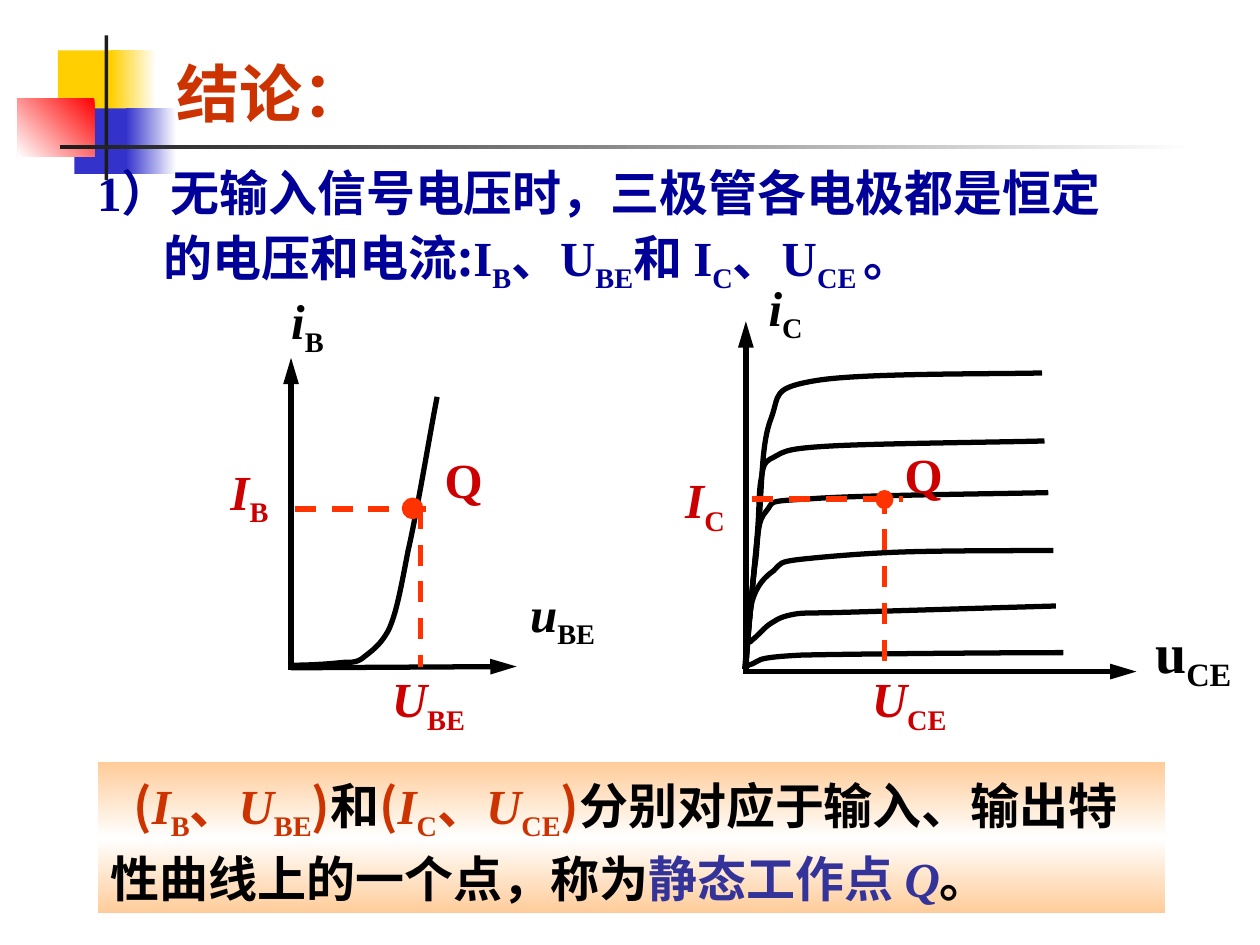
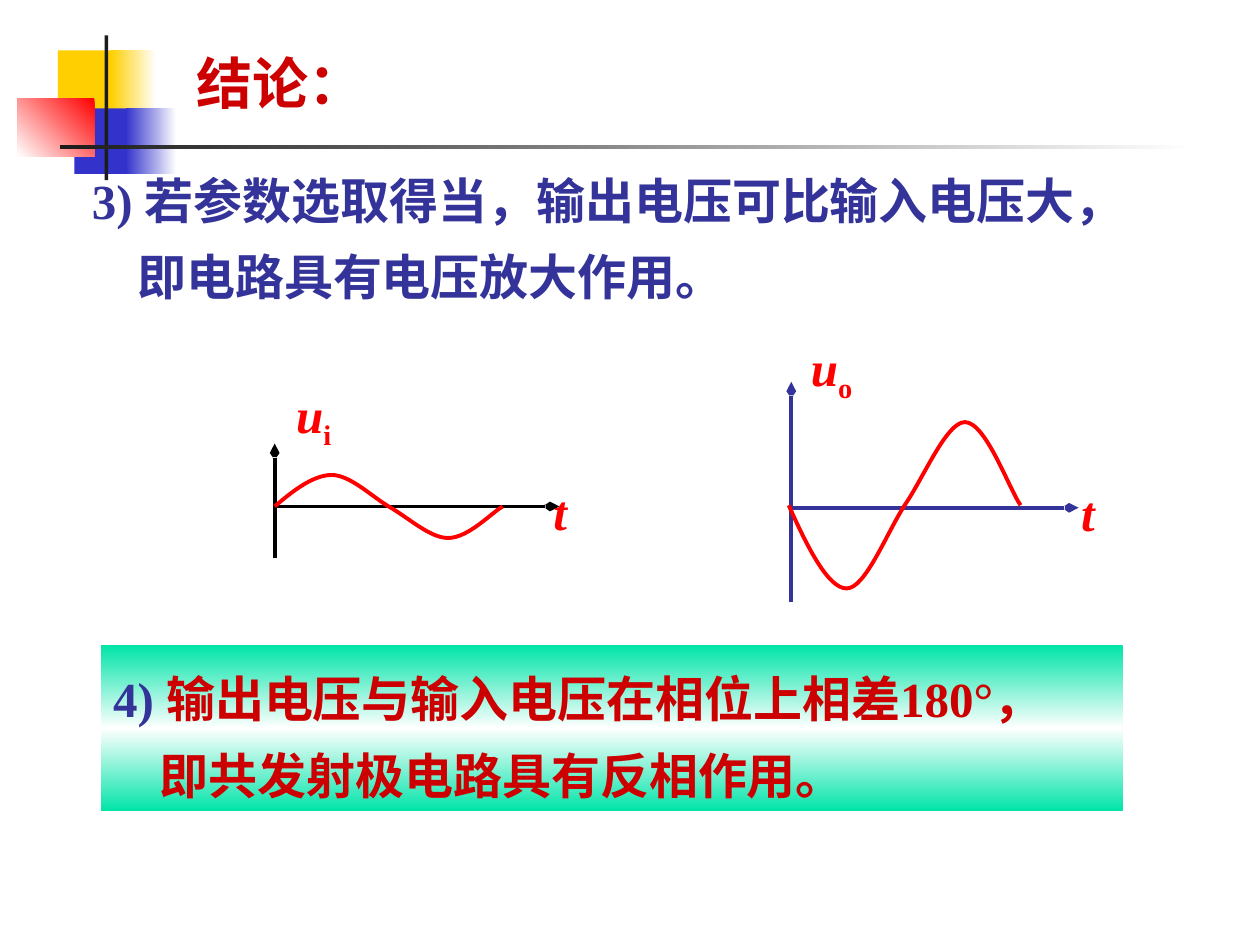
from dataclasses import dataclass, replace

import pptx
import pptx.dml.color
import pptx.enum.dml
import pptx.enum.shapes
import pptx.enum.text
import pptx.oxml.ns
import pptx.presentation
import pptx.shapes.autoshape
import pptx.slide
import pptx.text.text
import pptx.util
from lxml import etree

Inches = pptx.util.Inches
Pt = pptx.util.Pt
qn = pptx.oxml.ns.qn
Slide = pptx.slide.Slide
Shape = pptx.shapes.autoshape.Shape
Point = tuple[float, float]
Box = tuple[float, float, float, float]
MSO_SHAPE = pptx.enum.shapes.MSO_SHAPE
MIDDLE = pptx.enum.text.MSO_ANCHOR.MIDDLE
TOP = pptx.enum.text.MSO_ANCHOR.TOP
LEFT = pptx.enum.text.PP_ALIGN.LEFT
CENTER = pptx.enum.text.PP_ALIGN.CENTER


@dataclass(frozen=True)
class Theme:
    black: str = "000000"
    white: str = "FFFFFF"
    ink: str = "1C1C1C"
    yellow: str = "FFCF01"
    blue: str = "3333CC"
    navy: str = "000099"
    indigo: str = "333399"
    red: str = "FF0000"
    crimson: str = "CC0000"
    brick: str = "CC3300"
    orange: str = "FF3300"
    peach: str = "FFCC99"
    mint: str = "00E4A8"
    title_font: str = "Cabin"
    serif: str = "Times New Roman"
    sans: str = "Noto Sans CJK SC"
    title_size: float = 36
    large_size: float = 32
    text_size: float = 28
    thick: float = 3
    medium: float = 2.25


T = Theme()


@dataclass(frozen=True)
class Run:
    text: str
    color: str = T.black
    font: str = T.serif
    size: float = T.text_size
    italic: bool = False
    sub: bool = False


@dataclass(frozen=True)
class Line:
    runs: list[Run]
    margin: float = 0
    indent: float = 0


@dataclass(frozen=True)
class Band:
    box: Box
    colors: tuple[str, ...]
    angle: int = 0


@dataclass(frozen=True)
class Label:
    left: float
    top: float
    width: float
    runs: list[Run]


@dataclass(frozen=True)
class Arrowhead:
    type: str
    w: str
    len: str


@dataclass(frozen=True)
class Segment:
    start: Point
    end: Point
    color: str = T.black
    weight: float = T.thick
    head: Arrowhead | None = None
    dashed: bool = False


LONG_HEAD = Arrowhead("triangle", "med", "lg")
NARROW_HEAD = Arrowhead("arrow", "sm", "med")

ORNAMENT = [
    Band((0.46, 0.4, 0.48, 0.52), (T.yellow,)),
    Band((0.88, 0.4, 0.36, 0.52), (T.white, T.yellow), 180),
    Band((0.59, 0.86, 0.46, 0.52), (T.blue,)),
    Band((1, 0.86, 0.4, 0.52), (T.white, T.blue), 180),
    Band((0.14, 0.78, 0.61, 0.46), (T.red, T.white), 135),
    Band((0.83, 0.28, 0.03, 1.15), (T.ink,)),
    Band((0.48, 1.15, 9, 0.03), (T.white, T.ink), 180),
]

INPUT_CURVE = [
    (2.31, 5.28), (2.46, 5.28), (2.61, 5.27), (2.7, 5.26), (2.79, 5.25), (2.8, 5.27), (2.87, 5.23),
    (2.93, 5.18), (3.02, 5.13), (3.09, 4.99), (3.15, 4.85), (3.18, 4.68), (3.24, 4.37),
    (3.31, 4.07), (3.42, 3.4), (3.47, 3.15)]

OUTPUT_CURVES = [
    [(5.92, 5.31), (5.93, 5.3), (5.9, 5.29), (5.97, 5.27), (6.04, 5.25), (5.95, 5.22), (6.36, 5.2),
     (6.77, 5.19), (8.01, 5.18), (8.44, 5.18)],
    [(5.92, 5.31), (5.92, 5.28), (5.92, 5.16), (5.93, 5.12), (5.94, 5.08), (5.95, 5.11), (5.97, 5.08),
     (6, 5.06), (6.05, 5), (6.1, 4.96), (6.15, 4.93), (6.18, 4.9), (6.28, 4.88),
     (6.38, 4.86), (6.36, 4.87), (6.71, 4.86), (7.06, 4.85), (8.03, 4.82), (8.38, 4.81)],
    [(5.91, 5.31), (5.92, 5.22), (5.94, 4.91), (5.97, 4.77), (6.01, 4.64), (6.07, 4.58), (6.14, 4.53),
     (6.2, 4.47), (6.18, 4.46), (6.35, 4.44), (6.53, 4.42), (6.87, 4.39), (7.2, 4.38),
     (7.53, 4.37), (8.12, 4.37), (8.36, 4.37)],
    [(5.92, 5.27), (5.93, 5.13), (5.97, 4.63), (6, 4.43), (6.02, 4.23), (6.01, 4.14), (6.08, 4.06),
     (6.15, 3.98), (6.06, 3.98), (6.43, 3.96), (6.81, 3.93), (7.93, 3.92), (8.32, 3.91)],
    [(5.92, 5.27), (5.93, 5.1), (5.99, 4.49), (6.01, 4.25), (6.03, 4.01), (6.02, 3.92), (6.04, 3.81),
     (6.06, 3.71), (6.05, 3.67), (6.14, 3.63), (6.23, 3.58), (6.24, 3.56), (6.6, 3.54),
     (6.96, 3.52), (7.93, 3.51), (8.29, 3.5)],
    [(5.92, 5.31), (5.93, 5.12), (5.98, 4.52), (6.02, 4.19), (6.05, 3.86), (6.04, 3.52), (6.12, 3.32),
     (6.19, 3.13), (6.12, 3.08), (6.48, 3.02), (6.84, 2.96), (7.9, 2.97), (8.27, 2.96)],
]

# One period of a sine as cubic control points, unit width and amplitude
UNIT_WAVE = [
    (0, 0), (0.08, 0.5), (0.17, 1), (0.25, 1), (0.33, 1), (0.42, 0.35), (0.5, 0),
    (0.58, -0.32), (0.68, -1), (0.76, -1), (0.85, -1), (0.95, -0.2), (1, 0)]


def rgb(color: str) -> pptx.dml.color.RGBColor:
    return pptx.dml.color.RGBColor.from_string(color)


def symbol(letter: str, index: str, color: str = T.black, italic: bool = True,
           size: float = T.text_size) -> list[Run]:
    """A quantity with its subscript."""
    base = Run(letter, color, size=size, italic=italic)
    return [base, replace(base, text=index, italic=False, sub=True)]


def write_line(paragraph: pptx.text.text._Paragraph, line: Line) -> None:
    properties = paragraph._p.get_or_add_pPr()
    properties.set("marL", str(Inches(line.margin)))
    properties.set("indent", str(Inches(line.indent)))
    for part in line.runs:
        run = paragraph.add_run()
        run.text = part.text
        run.font.size, run.font.name = Pt(part.size), part.font
        run.font.bold, run.font.italic = True, part.italic
        run.font.color.rgb = rgb(part.color)
        run_properties = run._r.get_or_add_rPr()
        etree.SubElement(run_properties, qn("a:ea")).set("typeface", T.sans)
        if part.sub:
            run_properties.set("baseline", "-25000")


def write(shape: Shape, lines: list[Line], spacing: float = 1, anchor=MIDDLE, align=LEFT,
          wrap: bool = True) -> None:
    frame = shape.text_frame
    frame.word_wrap, frame.vertical_anchor = wrap, anchor
    frame.auto_size = pptx.enum.text.MSO_AUTO_SIZE.NONE
    for number, line in enumerate(lines):
        paragraph = frame.add_paragraph() if number else frame.paragraphs[0]
        paragraph.alignment, paragraph.line_spacing = align, spacing
        paragraph.space_before = Pt(0)
        write_line(paragraph, line)
        if shape.is_placeholder:
            etree.SubElement(paragraph._p.get_or_add_pPr(), qn("a:buNone"))


def draw_band(slide: Slide, band: Band) -> Shape:
    shape = slide.shapes.add_shape(MSO_SHAPE.RECTANGLE, *map(Inches, band.box))
    shape.shadow.inherit = False
    shape.line.fill.background()
    if len(band.colors) == 1:
        shape.fill.solid()
        shape.fill.fore_color.rgb = rgb(band.colors[0])
        return shape
    shape.fill.gradient()
    shape.fill.gradient_angle = (360 - band.angle) % 360
    stops = shape._element.spPr.find(qn("a:gradFill")).find(qn("a:gsLst"))
    stops.clear()
    for number, color in enumerate(band.colors):
        stop = etree.SubElement(stops, qn("a:gs"), pos=str(100000 * number // (len(band.colors) - 1)))
        etree.SubElement(stop, qn("a:srgbClr"), val=color)
    return shape


def draw_segment(slide: Slide, segment: Segment) -> None:
    connector = slide.shapes.add_connector(
        pptx.enum.shapes.MSO_CONNECTOR.STRAIGHT, *map(Inches, segment.start + segment.end))
    connector.line.color.rgb = rgb(segment.color)
    connector.line.width = Pt(segment.weight)
    if segment.dashed:
        connector.line.dash_style = pptx.enum.dml.MSO_LINE.DASH
    if segment.head:
        head = segment.head
        etree.SubElement(connector.line._get_or_add_ln(), qn("a:tailEnd"), type=head.type, w=head.w, len=head.len)
    etree.SubElement(connector._element.spPr, qn("a:effectLst"))


def draw_curve(slide: Slide, controls: list[Point], color: str, weight: float) -> None:
    """Draw joined cubic Bezier pieces through 3n + 1 control points."""
    builder = slide.shapes.build_freeform(*map(Inches, controls[0]))
    builder.add_line_segments([(Inches(x), Inches(y)) for x, y in controls[1:]], close=False)
    curve = builder.convert_to_shape()
    sides = list(curve._element.iter(qn("a:lnTo")))
    outline = sides[0].getparent()
    for first in range(0, len(sides), 3):
        cubic = etree.SubElement(outline, qn("a:cubicBezTo"))
        for side in sides[first:first + 3]:
            cubic.append(side[0])
            outline.remove(side)
    curve.shadow.inherit = False
    curve.fill.background()
    curve.line.color.rgb = rgb(color)
    curve.line.width = Pt(weight)


def draw_wave(slide: Slide, left: float, axis: float, width: float, amplitude: float) -> None:
    controls = [(left + width * x, axis - amplitude * y) for x, y in UNIT_WAVE]
    draw_curve(slide, controls, T.red, T.medium)


def draw_working_point(slide: Slide, box: Box) -> None:
    dot = slide.shapes.add_shape(MSO_SHAPE.OVAL, *map(Inches, box))
    dot.shadow.inherit = False
    dot.fill.solid()
    dot.fill.fore_color.rgb = dot.line.color.rgb = rgb(T.orange)
    dot.line.width = Pt(T.thick)


def draw_label(slide: Slide, label: Label) -> None:
    height = (0.63 if len(label.runs) > 1 else 0.57) * label.runs[0].size / T.text_size
    box = slide.shapes.add_textbox(*map(Inches, (label.left, label.top, label.width, height)))
    write(box, [Line(label.runs)], align=CENTER, wrap=False)


def move_ornament_to_master(deck: pptx.presentation.Presentation, slide: Slide) -> None:
    """Draw the ornament once and place it behind the master's placeholders."""
    backdrop = deck.slide_master.shapes.element
    for number, band in enumerate(ORNAMENT):
        backdrop.insert(2 + number, draw_band(slide, band)._element)


def start_slide(deck: pptx.presentation.Presentation, title_box: Box, title_run: Run,
                body_box: Box, body_lines: list[Line], spacing: float) -> Slide:
    """Add a slide with its title and first statement."""
    slide = deck.slides.add_slide(deck.slide_layouts[1])
    title, statement = slide.placeholders
    for holder, box in ((title, title_box), (statement, body_box)):
        holder.left, holder.top, holder.width, holder.height = map(Inches, box)
    write(title, [Line([title_run])])
    write(statement, body_lines, spacing, TOP)
    return slide


def build_working_point_slide(deck: pptx.presentation.Presentation) -> Slide:
    comma = Run("、", T.navy)
    quantities = [
        Run("的电压和电流", T.navy), Run(":", T.navy, T.sans),
        *symbol("I", "B", T.navy, False), comma, *symbol("U", "BE", T.navy, False), Run("和 ", T.navy, T.sans),
        *symbol("I", "C", T.navy, False), comma, *symbol("U", "CE ", T.navy, False), Run("。", T.navy)]
    slide = start_slide(
        deck, (1.3, 0.36, 2.92, 0.75), Run("结论：", T.brick, T.title_font, T.title_size),
        (0.67, 1.19, 8.5, 1.2),
        [Line([Run("1）无输入信号电压时，三极管各电极都是恒定", T.navy)]), Line(quantities, 0.53)], 1.1)

    draw_curve(slide, INPUT_CURVE, T.black, T.thick)
    for curve in OUTPUT_CURVES:
        draw_curve(slide, curve, T.black, T.thick)
    for start, end in [((2.31, 5.32), (2.31, 2.84)), ((2.31, 5.3), (4.1, 5.29)),
                       ((5.9, 5.33), (9.02, 5.33)), ((5.92, 5.33), (5.92, 2.55))]:
        draw_segment(slide, Segment(start, end, head=LONG_HEAD))
    for start, end in [((2.34, 4.04), (3.45, 4.04)), ((3.34, 4.03), (3.34, 5.29)),
                       ((7.02, 3.91), (7.02, 5.36)), ((5.97, 3.96), (7.17, 3.96))]:
        draw_segment(slide, Segment(start, end, T.orange, dashed=True))
    draw_working_point(slide, (3.21, 3.97, 0.13, 0.13))
    draw_working_point(slide, (6.97, 3.91, 0.1, 0.11))
    for label in [
        Label(1.69, 2.26, 1.5, symbol("i", "B")),
        Label(4.11, 4.58, 0.71, symbol("u", "BE")),
        Label(3.43, 3.52, 0.5, [Run("Q", T.crimson)]),
        Label(1.73, 3.61, 0.5, symbol("I", "B", T.crimson)),
        Label(3.01, 5.26, 0.78, symbol("U", "BE", T.crimson)),
        Label(6, 2.15, 0.47, symbol("i", "C")),
        Label(9.07, 4.84, 0.8, symbol("u", "CE", italic=False, size=T.large_size)),
        Label(7.08, 3.48, 0.5, [Run("Q", T.crimson)]),
        Label(6.82, 5.26, 0.79, symbol("U", "CE", T.crimson)),
        Label(5.34, 3.68, 0.51, symbol("I", "C", T.crimson)),
    ]:
        draw_label(slide, label)

    def pair(index_i: str, index_u: str) -> list[Run]:
        return [Run("(", T.brick, T.sans), *symbol("I", index_i, T.brick), Run("、", T.brick, T.sans),
                *symbol("U", index_u, T.brick), Run(")", T.brick, T.sans)]

    definition = [
        *pair("B", "BE"), Run("和", font=T.sans), *pair("C", "CE"),
        Run("分别对应于输入、输出特性曲线上的一个点，称为", font=T.sans),
        Run("静态工作点 ", T.indigo, T.sans), Run("Q", T.indigo, italic=True), Run("。", font=T.sans)]
    panel = draw_band(slide, Band((0.78, 6.05, 8.47, 1.2), (T.peach, T.white, T.peach), 90))
    write(panel, [Line(definition, indent=0.18)], 1.1)
    return slide


def build_phase_slide(deck: pptx.presentation.Presentation) -> None:
    slide = start_slide(
        deck, (1.46, 0.28, 2.92, 0.75), Run("结论：", T.crimson, T.title_font, T.large_size),
        (0.63, 1.16, 8.48, 1.32),
        [Line([Run("3) 若参数选取得当，输出电压可比输入电压大，", T.indigo)]),
         Line([Run("即电路具有电压放大作用。", T.indigo)], 0.36)], 1.3)

    for start, end, color in [
        ((2.18, 4.43), (2.18, 3.52), T.black), ((2.18, 4.02), (4.44, 4.02), T.black),
        ((6.28, 4.78), (6.28, 3.03), T.indigo), ((6.26, 4.03), (8.56, 4.03), T.indigo),
    ]:
        draw_segment(slide, Segment(start, end, color, T.medium, NARROW_HEAD))
    draw_wave(slide, 2.18, 4.02, 1.81, 0.25)
    draw_wave(slide, 6.26, 4.01, 1.84, -0.66)
    for label in [
        Label(1.9, 3, 1.18, symbol("u", "i", T.red)),
        Label(4.29, 3.77, 0.31, [Run("t", T.red, italic=True)]),
        Label(6, 2.63, 1.2, symbol("u", "o", T.red)),
        Label(8.48, 3.78, 0.31, [Run("t", T.red, italic=True)]),
    ]:
        draw_label(slide, label)

    panel = draw_band(slide, Band((0.8, 5.12, 8.11, 1.32), (T.mint, T.white, T.mint), 90))
    write(panel, [Line([Run("4) ", T.indigo), Run("输出电压与输入电压在相位上相差180°，", T.crimson)]),
                  Line([Run("即共发射极电路具有反相作用。", T.crimson)], 0.37)], 1.3, TOP)


def main() -> None:
    deck = pptx.Presentation()
    deck.slide_width, deck.slide_height = Inches(10), Inches(7.5)
    move_ornament_to_master(deck, build_working_point_slide(deck))
    build_phase_slide(deck)
    deck.save("out.pptx")


if __name__ == "__main__":
    main()
